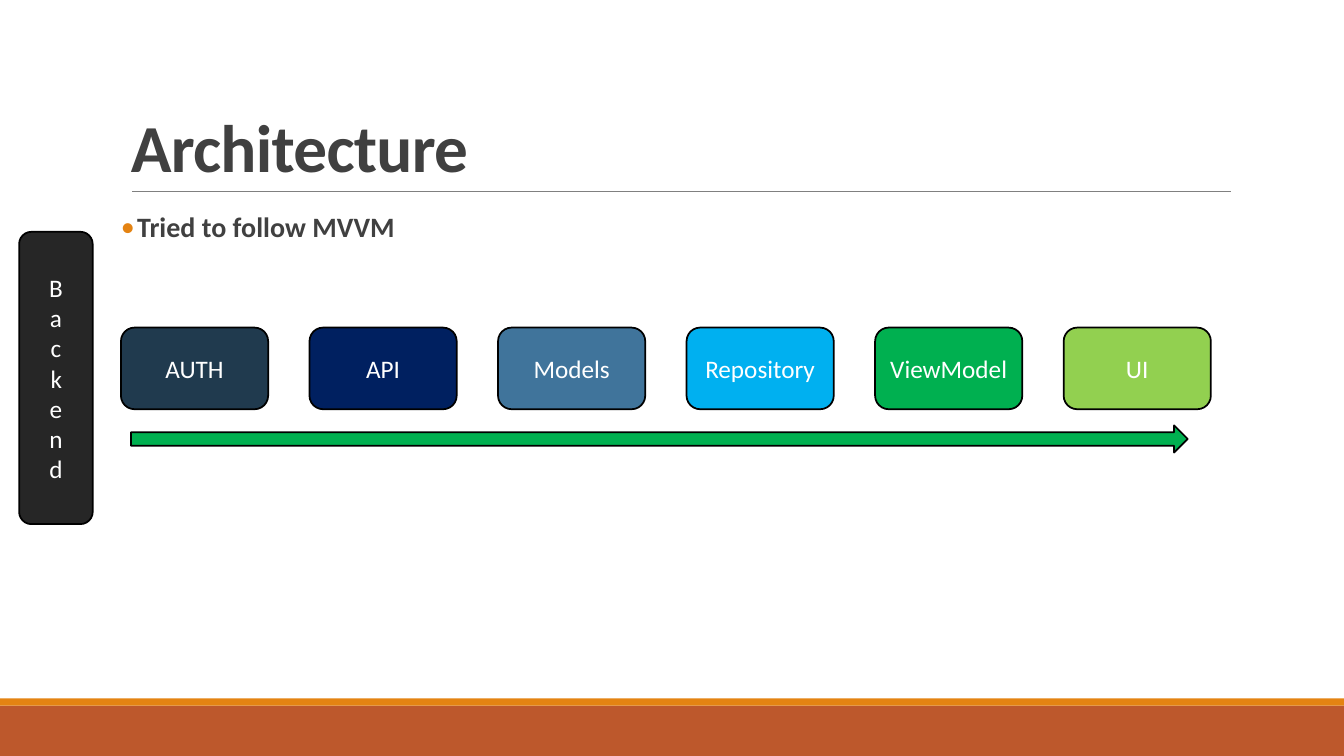
from dataclasses import dataclass

from pptx import Presentation
from pptx.dml.color import RGBColor
from pptx.enum.shapes import MSO_CONNECTOR, MSO_SHAPE
from pptx.enum.text import MSO_ANCHOR, PP_ALIGN
from pptx.oxml.ns import qn
from pptx.util import Inches, Pt
from lxml.etree import SubElement


@dataclass(frozen=True)
class Theme:
    font: str = "Calibri"
    title_size: float = 48
    body_size: float = 20
    label_size: float = 18
    outline_width: float = 1.25
    rule_width: float = 0.5
    text: str = "404040"
    label: str = "FFFFFF"
    outline: str = "000000"
    rule: str = "808080"
    accent: str = "E48312"
    footer: str = "BD582C"
    backend: str = "262626"
    flow: str = "00B050"


class SlideBuilder:
    def __init__(self, slide, theme):
        self.slide = slide
        self.theme = theme

    def style_font(self, paragraph, size, color, bold=False):
        font = paragraph.font
        font.name = self.theme.font
        font.size = Pt(size)
        font.bold = bold
        font.color.rgb = RGBColor.from_string(color)

    def shape(self, preset, box, fill, outlined=True):
        shape = self.slide.shapes.add_shape(preset, *map(Inches, box))
        shape.shadow.inherit = False
        shape.fill.solid()
        shape.fill.fore_color.rgb = RGBColor.from_string(fill)
        if outlined:
            shape.line.color.rgb = RGBColor.from_string(self.theme.outline)
            shape.line.width = Pt(self.theme.outline_width)
        else:
            shape.line.fill.background()
        return shape

    def labelled_box(self, label, box, fill, stacked=False):
        frame = self.shape(MSO_SHAPE.ROUNDED_RECTANGLE, box, fill).text_frame
        frame.word_wrap = True
        frame.vertical_anchor = MSO_ANCHOR.MIDDLE
        if stacked:
            frame._txBody.bodyPr.set("vert", "wordArtVert")
        paragraph = frame.paragraphs[0]
        paragraph.text = label
        paragraph.alignment = PP_ALIGN.CENTER
        self.style_font(paragraph, self.theme.label_size, self.theme.label)

    def text(self, content, box, size, line_spacing, anchor=MSO_ANCHOR.TOP, inset=0.1):
        frame = self.slide.shapes.add_textbox(*map(Inches, box)).text_frame
        frame.word_wrap = True
        frame.vertical_anchor = anchor
        frame.margin_left = frame.margin_right = Inches(inset)
        paragraph = frame.paragraphs[0]
        paragraph.text = content
        paragraph.line_spacing = line_spacing
        self.style_font(paragraph, size, self.theme.text, bold=True)
        return paragraph

    def title(self, content, box):
        paragraph = self.text(content, box, self.theme.title_size, 0.85, MSO_ANCHOR.BOTTOM)
        paragraph.runs[0]._r.get_or_add_rPr().set("spc", "-50")

    def bullet(self, content, box, indent):
        paragraph = self.text(content, box, self.theme.body_size, 0.9, inset=0)
        properties = paragraph._p.get_or_add_pPr()
        properties.set("marL", str(Inches(indent)))
        properties.set("indent", str(-Inches(indent)))
        bullet_color = SubElement(properties, qn("a:buClr"))
        SubElement(bullet_color, qn("a:srgbClr")).set("val", self.theme.accent)
        SubElement(properties, qn("a:buFont")).set("typeface", self.theme.font)
        SubElement(properties, qn("a:buChar")).set("char", "•")
        # Paragraph defaults must follow the bullet elements
        properties.append(properties.find(qn("a:defRPr")))

    def rule(self, left, right, top):
        line = self.slide.shapes.add_connector(
            MSO_CONNECTOR.STRAIGHT, *map(Inches, (left, top, right, top)))
        line.line.color.rgb = RGBColor.from_string(self.theme.rule)
        line.line.width = Pt(self.theme.rule_width)
        SubElement(line._element.spPr, qn("a:effectLst"))


theme = Theme()
presentation = Presentation()
presentation.slide_width = Inches(13.33)
presentation.slide_height = Inches(7.5)
architecture = SlideBuilder(
    presentation.slides.add_slide(presentation.slide_layouts[6]), theme)

# Footer bands and title rule
architecture.shape(MSO_SHAPE.RECTANGLE, (0, 7, 13.33, 0.5), theme.footer, outlined=False)
architecture.shape(MSO_SHAPE.RECTANGLE, (0, 6.93, 13.33, 0.07), theme.accent, outlined=False)
architecture.rule(1.31, 12.21, 1.9)

# Heading and statement
architecture.title("Architecture", (1.2, 0.31, 11, 1.59))
architecture.bullet("Tried to follow MVVM", (1.2, 2.07, 5.34, 4.35), indent=0.16)

# Backend and the layers it feeds
architecture.labelled_box("Backend", (0.19, 2.3, 0.73, 2.9), theme.backend, stacked=True)
layers = [
    ("AUTH", "203A4E"),
    ("API", "002060"),
    ("Models", "40749B"),
    ("Repository", "00B0F0"),
    ("ViewModel", "00B050"),
    ("UI", "92D050"),
]
LAYER_LEFT, LAYER_PITCH = 1.2, 1.87
for position, (layer, color) in enumerate(layers):
    architecture.labelled_box(
        layer, (LAYER_LEFT + position * LAYER_PITCH, 3.25, 1.46, 0.81), color)

# Direction of data flow
architecture.shape(MSO_SHAPE.RIGHT_ARROW, (1.3, 4.22, 10.48, 0.27), theme.flow)

presentation.save("out.pptx")
